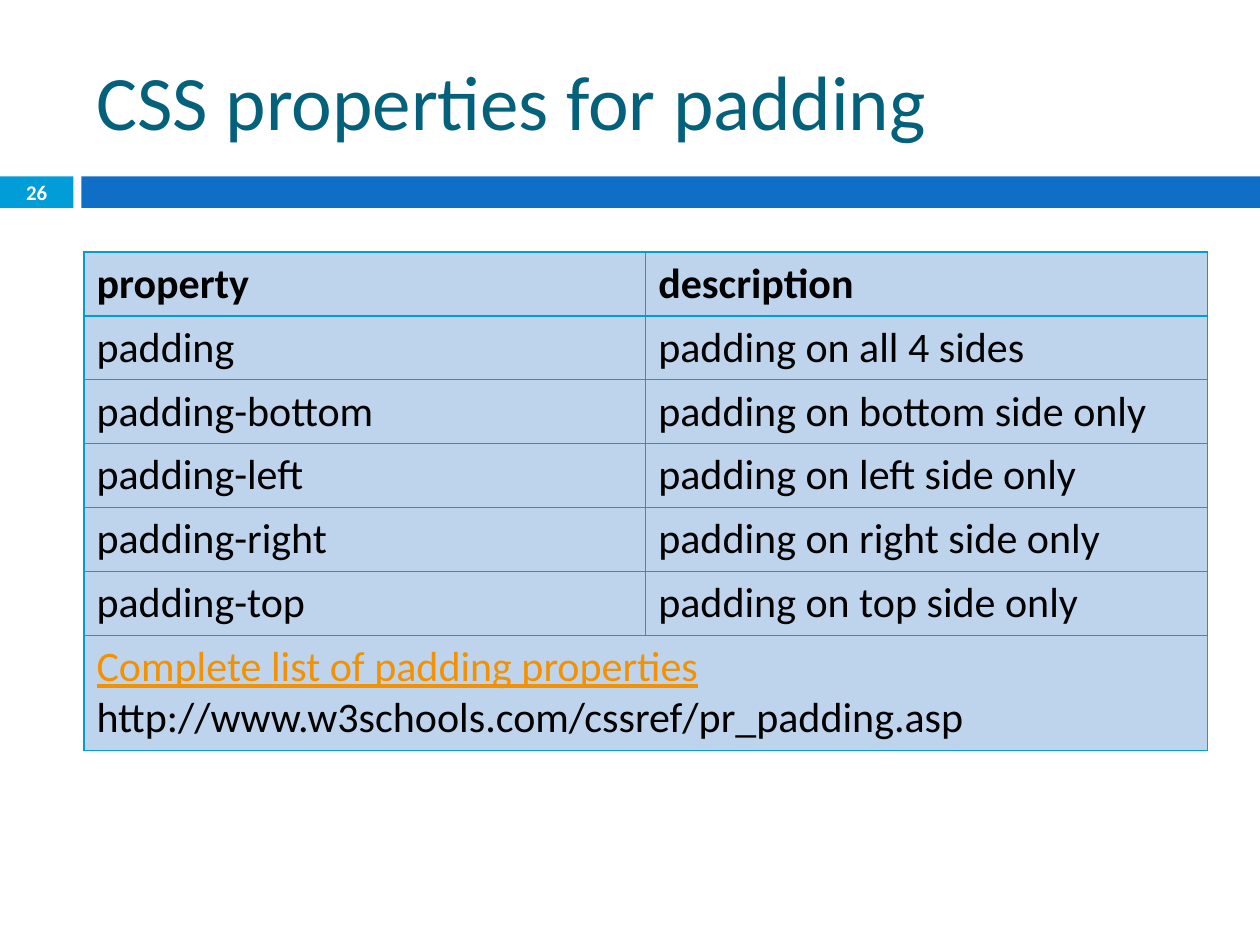
from lxml import etree
from pptx import Presentation
from pptx import util as u
from pptx.dml.color import RGBColor
from pptx.enum import shapes, text
from pptx.oxml.ns import qn

COLORS = {
    "title": "04617B",
    "bar": "0F6FC6",
    "accent": "009DD9",
    "cell": "BDD4EC",
    "rule": "4F84AC",
    "link": "F49100",
    "black": "000000",
    "white": "FFFFFF",
}

PADDING_ROWS = [
    ("property", "description"),
    ("padding", "padding on all 4 sides"),
    ("padding-bottom", "padding on bottom side only"),
    ("padding-left", "padding on left side only"),
    ("padding-right", "padding on right side only"),
    ("padding-top", "padding on top side only"),
]
REFERENCE_LINES = [
    ("Complete list of padding properties", "link", True),
    ("http://www.w3schools.com/cssref/pr_padding.asp", "black", False),
]


class SlideBuilder:
    font = "Calibri"
    columns = 120
    rows = 90

    def __init__(self, presentation):
        self.unit_x = presentation.slide_width / self.columns
        self.unit_y = presentation.slide_height / self.rows
        self.slide = presentation.slides.add_slide(presentation.slide_layouts[5])

    def color(self, name):
        return RGBColor.from_string(COLORS[name])

    def box(self, left, top, width, height):
        return (u.Emu(round(left * self.unit_x)), u.Emu(round(top * self.unit_y)),
                u.Emu(round(width * self.unit_x)), u.Emu(round(height * self.unit_y)))

    def run(self, paragraph, words, size, color, bold=False, underline=False):
        run = paragraph.add_run()
        run.text = words
        run.font.name = self.font
        run.font.size = u.Pt(size)
        run.font.bold = bold
        run.font.underline = underline
        run.font.color.rgb = self.color(color)

    def title(self, words, *place):
        shape = self.slide.shapes.title
        shape.left, shape.top, shape.width, shape.height = self.box(*place)
        frame = shape.text_frame
        frame.word_wrap = True
        frame.auto_size = text.MSO_AUTO_SIZE.NONE
        frame.vertical_anchor = text.MSO_ANCHOR.MIDDLE
        paragraph = frame.paragraphs[0]
        paragraph.alignment = text.PP_ALIGN.LEFT
        self.run(paragraph, words, 44, "title")

    def bar(self, color, *place):
        shape = self.slide.shapes.add_shape(shapes.MSO_SHAPE.RECTANGLE, *self.box(*place))
        shape.shadow.inherit = False
        shape.fill.solid()
        shape.fill.fore_color.rgb = self.color(color)
        shape.line.fill.background()

    def page_number(self, words, *place):
        frame = self.slide.shapes.add_textbox(*self.box(*place)).text_frame
        frame.word_wrap = True
        frame.margin_top = frame.margin_bottom = 0
        frame.vertical_anchor = text.MSO_ANCHOR.MIDDLE
        paragraph = frame.paragraphs[0]
        paragraph.alignment = text.PP_ALIGN.CENTER
        self.run(paragraph, words, 11.9, "white", bold=True)

    def borders(self, cell, sides):
        properties = cell._tc.get_or_add_tcPr()
        for index, (side, color) in enumerate(sides.items()):
            line = etree.Element(qn(f"a:ln{side}"), w=str(u.Pt(0.79)))
            fill = etree.SubElement(line, qn("a:solidFill"))
            etree.SubElement(fill, qn("a:srgbClr"), val=COLORS[color])
            properties.insert(index, line)

    def table(self, body, footer, left, top, width, row_height, footer_height):
        last = len(body)
        height = last * row_height + footer_height
        frame = self.slide.shapes.add_table(last + 1, 2, *self.box(left, top, width, height))
        table = frame.table
        table.first_row = table.horz_banding = False
        for index, row in enumerate(table.rows):
            units = footer_height if index == last else row_height
            row.height = u.Emu(round(units * self.unit_y))
            for column, cell in enumerate(row.cells):
                cell.fill.solid()
                cell.fill.fore_color.rgb = self.color("cell")
                cell.vertical_anchor = text.MSO_ANCHOR.MIDDLE
                self.borders(cell, {
                    "L": "accent" if column == 0 else "rule",
                    "R": "accent" if column == 1 else "rule",
                    "T": "accent" if index < 2 else "rule",
                    "B": "accent" if index in (0, last) else "rule",
                })
                if index < last:
                    self.run(cell.text_frame.paragraphs[0], body[index][column],
                             24, "black", bold=index == 0)
        table.cell(last, 0).merge(table.cell(last, 1))
        text_frame = table.cell(last, 0).text_frame
        for index, (words, color, underline) in enumerate(footer):
            paragraph = text_frame.add_paragraph() if index else text_frame.paragraphs[0]
            self.run(paragraph, words, 24, color, underline=underline)


def main():
    presentation = Presentation()
    presentation.slide_width = u.Inches(10)
    presentation.slide_height = u.Inches(7.5)
    builder = SlideBuilder(presentation)
    builder.bar("accent", 0, 16.8, 7, 3)
    builder.bar("bar", 7.75, 16.8, 112.25, 3)
    builder.title("CSS properties for padding", 8, 3, 107, 13)
    builder.table(PADDING_ROWS, REFERENCE_LINES, 8, 24, 107, 6.08, 10.96)
    builder.page_number("26", 0, 16.7, 7, 3.2)
    presentation.save("out.pptx")


if __name__ == "__main__":
    main()
